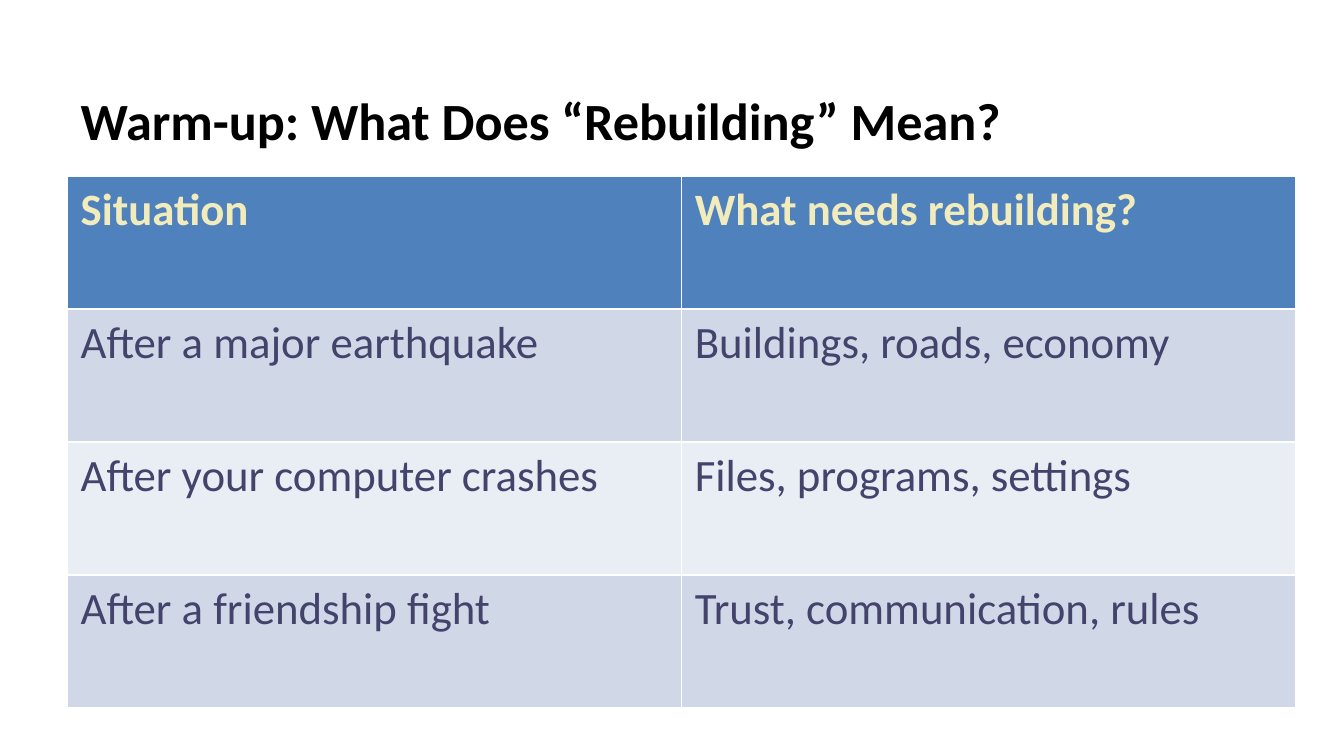
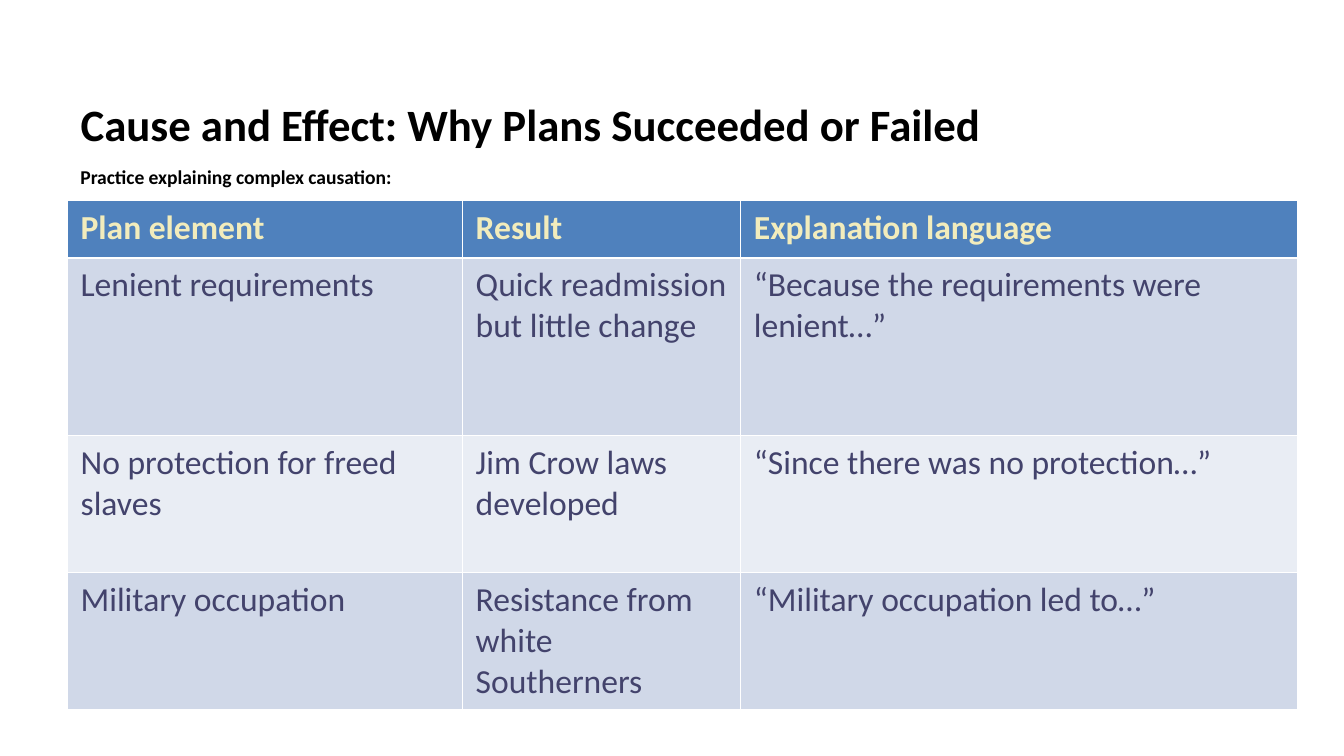
from lxml import etree
from pptx import Presentation
from pptx.dml.color import RGBColor
from pptx.enum.text import MSO_ANCHOR, PP_ALIGN
from pptx.oxml.ns import qn
from pptx.util import Inches, Pt

LEFT = PP_ALIGN.LEFT
BOTTOM = MSO_ANCHOR.BOTTOM

WHITE = RGBColor(0xFF, 0xFF, 0xFF)
BLACK = RGBColor(0x00, 0x00, 0x00)
CREAM = RGBColor(0xF2, 0xEC, 0xBC)
INDIGO = RGBColor(0x43, 0x43, 0x6C)
HEADER_BLUE = RGBColor(0x4F, 0x81, 0xBD)
BANDS = (RGBColor(0xD0, 0xD8, 0xE8), RGBColor(0xE9, 0xED, 0xF4))

FONT = "Calibri"
SLIDE_W, SLIDE_H = Inches(10), Inches(5.625)
UNIT = SLIDE_W // 10  # the grid has ten columns with square cells
MARGIN = 0.5
TITLE_TOP, TITLE_H = 0.22, 0.95
TITLE_ONLY = 5

REBUILDING = [
    ("Situation", "What needs rebuilding?"),
    ("After a major earthquake", "Buildings, roads, economy"),
    ("After your computer crashes", "Files, programs, settings"),
    ("After a friendship fight", "Trust, communication, rules"),
]
CAUSATION = [
    ("Plan element", "Result", "Explanation language"),
    ("Lenient requirements", "Quick readmission but little change",
     "“Because the requirements were lenient…”"),
    ("No protection for freed slaves", "Jim Crow laws developed",
     "“Since there was no protection…”"),
    ("Military occupation", "Resistance from white Southerners",
     "“Military occupation led to…”"),
]


def grid(*cells):
    """Turn grid lengths into slide lengths."""
    return [round(cell * UNIT) for cell in cells]


def write(frame, text, size, color, bold):
    frame.text = text
    frame.word_wrap = True
    paragraph = frame.paragraphs[0]
    paragraph.alignment = LEFT
    for run in paragraph.runs:
        run.font.name = FONT
        run.font.size = Pt(size)
        run.font.bold = bold
        run.font.color.rgb = color


def add_titled_slide(prs, heading, width, size):
    slide = prs.slides.add_slide(prs.slide_layouts[TITLE_ONLY])
    slide.background.fill.solid()
    slide.background.fill.fore_color.rgb = WHITE
    title = slide.shapes.title
    title.left, title.top, title.width, title.height = grid(
        MARGIN, TITLE_TOP, width, TITLE_H)
    write(title.text_frame, heading, size, BLACK, True)
    title.text_frame.vertical_anchor = BOTTOM
    return slide


def add_subheading(slide, text, top, width, height):
    box = slide.shapes.add_textbox(*grid(MARGIN, top, width, height))
    write(box.text_frame, text, 10.5, BLACK, True)


def draw_borders(cell, color, width):
    properties = cell._tc.get_or_add_tcPr()
    for side in ("a:lnL", "a:lnR", "a:lnT", "a:lnB"):
        line = etree.SubElement(properties, qn(side), w=str(Pt(width)))
        fill = etree.SubElement(line, qn("a:solidFill"))
        etree.SubElement(fill, qn("a:srgbClr"), val=str(color))


def add_banded_table(slide, rows, top, widths, heights, size):
    frame = slide.shapes.add_table(
        len(rows), len(widths),
        *grid(MARGIN, top, sum(widths), sum(heights)))
    table = frame.table
    for column, width in zip(table.columns, grid(*widths)):
        column.width = width
    for row, height in zip(table.rows, grid(*heights)):
        row.height = height
    for r, texts in enumerate(rows):
        is_header = r == 0
        for c, text in enumerate(texts):
            cell = table.cell(r, c)
            write(cell.text_frame, text, size,
                  CREAM if is_header else INDIGO, is_header)
            draw_borders(cell, WHITE, 1)
            cell.fill.solid()
            cell.fill.fore_color.rgb = (
                HEADER_BLUE if is_header else BANDS[(r - 1) % 2])


def main():
    prs = Presentation()
    prs.slide_width, prs.slide_height = SLIDE_W, SLIDE_H

    warm_up = add_titled_slide(
        prs, "Warm-up: What Does “Rebuilding” Mean?", 9.14, 28)
    add_banded_table(warm_up, REBUILDING, 1.31, [4.57] * 2, [0.99] * 4, 24)

    causes = add_titled_slide(
        prs, "Cause and Effect: Why Plans Succeeded or Failed", 8.29, 24)
    add_subheading(causes, "Practice explaining complex causation:",
                   1.18, 3.29, 3.85)
    add_banded_table(causes, CAUSATION, 1.49, [2.94, 2.07, 4.15],
                     [0.43, 1.32, 1.02, 1.02], 18)

    prs.save("out.pptx")


if __name__ == "__main__":
    main()
